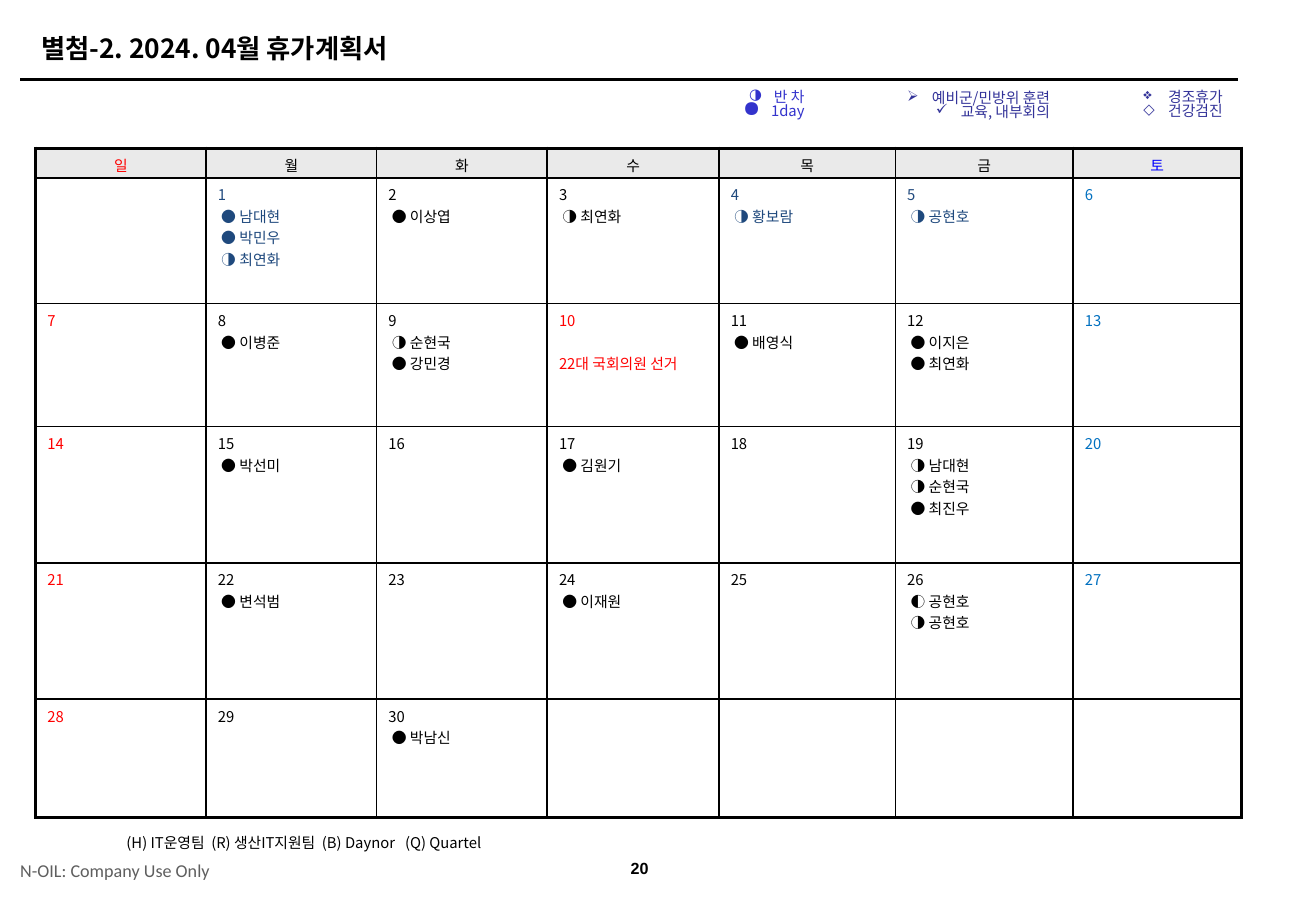
from pptx import Presentation, util as u
from pptx.dml.color import RGBColor
from pptx.enum import shapes, text
from pptx.oxml import ns, xmlchemy
from lxml import etree

theme = {
    "black": "000000", "red": "FF0000", "blue": "0000FF", "sky": "0070C0",
    "navy": "1F497D", "violet": "3333CC", "indigo": "333399",
    "grey": "5F5F5F", "header": "EAEAEA",
    "korean": "Noto Sans CJK KR", "title": 16, "body": 9, "number": 9.8, "footer": 11,
}


def write(para, words, color="black", size="body", face=theme["korean"], bold=False):
    span = para.add_run()
    span.text = words
    span.font.fill.solid()
    span.font.fill.fore_color.rgb = RGBColor.from_string(theme[color])
    values = {"size": u.Pt(theme[size]), "name": face, "bold": bold}
    for name, value in values.items():
        setattr(span.font, name, value)
    etree.SubElement(span.font._element, ns.qn("a:ea"), typeface=face)


def add_box(place, **values):
    box = page.shapes.add_textbox(*[u.Inches(n) for n in place])
    for name, value in {"word_wrap": True, **values}.items():
        setattr(box.text_frame, name, value)
    return box.text_frame


deck = Presentation()
deck.slide_width, deck.slide_height = u.Inches(11.11), u.Inches(7.57)
page = deck.slides.add_slide(deck.slide_layouts[6])
middle = text.MSO_ANCHOR.MIDDLE
align = text.PP_ALIGN

rule = page.shapes.add_connector(
    shapes.MSO_CONNECTOR.STRAIGHT,
    u.Inches(0.17), u.Inches(0.67), u.Inches(10.45), u.Inches(0.67))
rule.line.width = u.Pt(1.5)
rule.line.color.rgb = RGBColor.from_string(theme["black"])
etree.SubElement(rule._element.spPr, ns.qn("a:effectLst"))

number = add_box((5.13, 7.17, 0.54, 0.31), word_wrap=False, vertical_anchor=middle)
number.paragraphs[0].alignment = align.CENTER
write(number.paragraphs[0], "20", size="number", face="Arial", bold=True)

notice = add_box((0.17, 7.19, 1.75, 0.31), vertical_anchor=middle,
                 margin_left=0, margin_right=0, margin_top=0, margin_bottom=0)
write(notice.paragraphs[0], "N-OIL: Company Use Only", "grey", "footer", "Calibri")

title = add_box((0.25, 0.22, 9.9, 0.37), vertical_anchor=middle)
write(title.paragraphs[0], "별첨-2. 2024. 04월 휴가계획서", size="title", bold=True)

weekdays = "일월화수목금토"
column_widths = [1.44, 1.44, 1.44, 1.45, 1.49, 1.5, 1.42]
row_heights = [0.25, 1.06, 1.04, 1.15, 1.15, 1]
first_weekday, last_day = 1, 30
weekend_colors = {0: "red", 6: "sky"}
day_colors = {1: "navy", 4: "navy", 5: "navy", 10: "red"}
holidays = {10: "22대 국회의원 선거"}
leave = {
    1: ["● 남대현", "● 박민우", "◑ 최연화"], 2: ["● 이상엽"], 3: ["◑ 최연화"],
    4: ["◑ 황보람"], 5: ["◑ 공현호"], 8: ["● 이병준"], 9: ["◑ 순현국", "● 강민경"],
    11: ["● 배영식"], 12: ["● 이지은", "● 최연화"], 15: ["● 박선미"],
    17: ["● 김원기"], 19: ["◑ 남대현", "◑ 순현국", "● 최진우"],
    22: ["● 변석범"], 24: ["● 이재원"], 26: ["◐ 공현호", "◑ 공현호"], 30: ["● 박남신"],
}

rows, columns = len(row_heights), len(column_widths)
calendar = page.shapes.add_table(
    rows, columns, u.Inches(0.3), u.Inches(1.25),
    u.Inches(sum(column_widths)), u.Inches(sum(row_heights))).table
calendar.first_row = calendar.horz_banding = False
for column, width in zip(calendar.columns, column_widths):
    column.width = u.Inches(width)
for row, height in zip(calendar.rows, row_heights):
    row.height = u.Inches(height)

for r in range(rows):
    for c in range(columns):
        cell = calendar.cell(r, c)
        para = cell.text_frame.paragraphs[0]
        day = (r - 1) * 7 + c - first_weekday + 1
        if r == 0:
            cell.vertical_anchor = middle
            para.alignment = align.CENTER
            write(para, weekdays[c], {0: "red", 6: "blue"}.get(c, "black"))
        elif 1 <= day <= last_day:
            color = day_colors.get(day, weekend_colors.get(c, "black"))
            write(para, str(day), color)
            for entry in leave.get(day, []):
                write(cell.text_frame.add_paragraph(), f" {entry}", color)
            if day in holidays:
                para = cell.text_frame.add_paragraph()
                para.space_before = u.Pt(13)
                write(para, holidays[day], color)
        outer = {"L": c == 0, "R": c == columns - 1, "T": r == 0, "B": r == rows - 1}
        borders = cell._tc.get_or_add_tcPr()
        for side, thick in outer.items():
            edge = etree.SubElement(borders, ns.qn(f"a:ln{side}"),
                                    w=str(u.Pt(2 if thick else 1)))
            paint = etree.SubElement(edge, ns.qn("a:solidFill"))
            etree.SubElement(paint, ns.qn("a:srgbClr"), val=theme["black"])
        if r == 0:
            cell.fill.solid()
            cell.fill.fore_color.rgb = RGBColor.from_string(theme["header"])
        else:
            cell.fill.background()

legends = [
    ((6.17, 0.72, 0.72, 0.4), False, "violet", [("◑", "반 차", 100), ("●", " 1day", 150)]),
    ((7.41, 0.73, 1.58, 0.39), True, "indigo",
     [("➢", "예비군/민방위 훈련 ", 100), ("✓", "교육, 내부회의 ", 100)]),
    ((8.59, 0.72, 1.83, 0.39), True, "indigo",
     [("❖", "경조휴가", 100), ("◇", "건강검진", 100)]),
]
for place, wrap, color, items in legends:
    legend = add_box(place, word_wrap=wrap)
    for i, (mark, words, percent) in enumerate(items):
        para = legend.add_paragraph() if i else legend.paragraphs[0]
        para.alignment, para.line_spacing = align.RIGHT, 0.8
        layout = para._p.get_or_add_pPr()
        layout.set("marL", str(u.Inches(0.21)))
        layout.set("indent", str(-u.Inches(0.21)))
        tint = etree.SubElement(layout, ns.qn("a:buClr"))
        etree.SubElement(tint, ns.qn("a:srgbClr"), val=theme[color])
        etree.SubElement(layout, ns.qn("a:buSzPct"), val=str(percent * 1000))
        etree.SubElement(layout, ns.qn("a:buChar"), char=mark)
        write(para, words, color)

teams = add_box((0.79, 7, 3.37, 0.24), word_wrap=False, vertical_anchor=middle)
teams.paragraphs[0].alignment, teams.paragraphs[0].line_spacing = align.RIGHT, 0.95
write(teams.paragraphs[0], "(H) IT운영팀  (R) 생산IT지원팀  (B) Daynor   (Q) Quartel")

deck.save("out.pptx")
